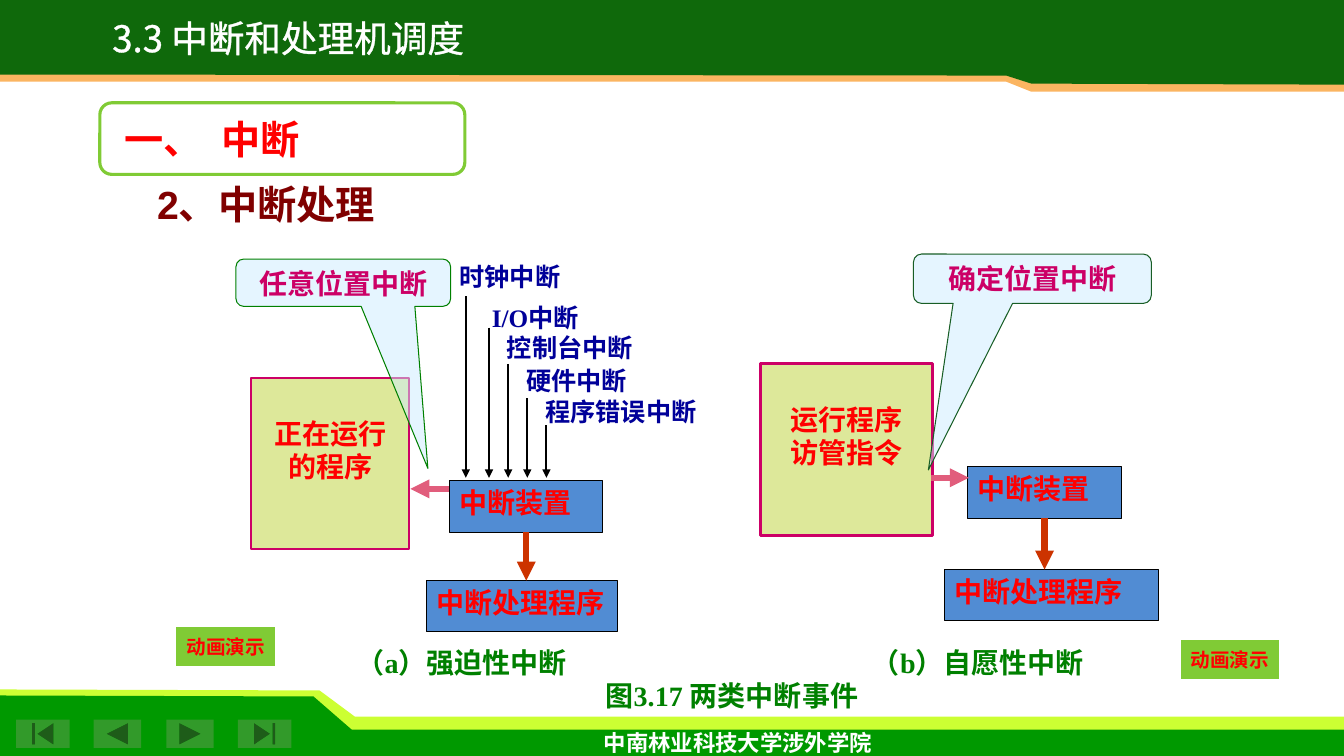
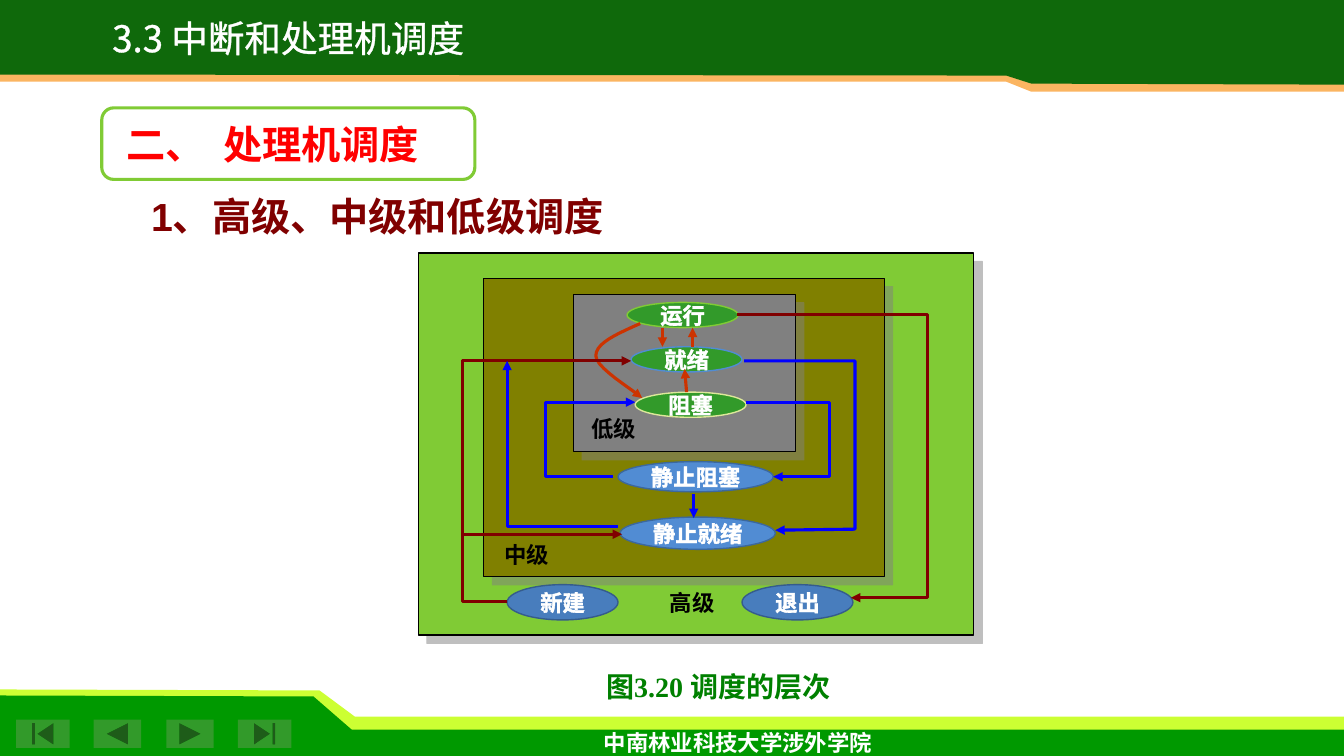
"""Build two lecture slides on interrupts and processor scheduling."""
import lxml.etree
import pptx
import pptx.dml.color
import pptx.enum.shapes
import pptx.enum.text
import pptx.oxml.ns
import pptx.util

Inches = pptx.util.Inches
Pt = pptx.util.Pt
qn = pptx.oxml.ns.qn
SHAPE = pptx.enum.shapes.MSO_SHAPE
ALIGN = pptx.enum.text.PP_ALIGN
ANCHOR = pptx.enum.text.MSO_ANCHOR

GREEN, RED, MAROON, WHITE, BLACK = "80CB35", "FF0000", "800000", "FFFFFF", "000000"
BLUE, BOX_BLUE, RUST, PINK, MAGENTA = "0000FF", "518CD3", "CC3300", "E15D7C", "CC0066"
SERIF = "Times New Roman"

TITLE = (26.1, "Noto Sans CJK SC", WHITE, False)
FOOTER = (16, "Karla", WHITE, True)
HEADING = (28, SERIF, RED, True)
SUBHEADING = (28, "Arial", MAROON, True)
CAPTION = (20, SERIF, "008000", True)
BLOCK = (20, SERIF, RED, True)
SOURCE = (18, SERIF, "000099", True)
CALLOUT = (20, "Karla", MAGENTA, True)
BUTTON = (14, "Karla", RED, True)
STATE = (16, SERIF, WHITE, True)
LEVEL = (16, SERIF, BLACK, True)

BANDS = [
    ("CCFF33", [(0, 7.4), (13.33, 7.4), (13.33, 7.11), (3.52, 7.11), (3.17, 6.85), (0, 6.84)]),
    ("009900", [(0, 7.5), (13.33, 7.5), (13.33, 7.24), (3.49, 7.24), (3.11, 6.91), (0, 6.9)]),
    ("FBB561", [(13.33, 0), (0, 0), (0, 0.81), (9.98, 0.81), (10.23, 0.91), (13.33, 0.91)]),
    ("0F690B", [(13.33, 0), (0, 0), (0, 0.74), (9.98, 0.75), (10.23, 0.83), (13.33, 0.84)]),
]
BUTTONS = [
    (SHAPE.ACTION_BUTTON_BEGINNING, 0.16, 0.53),
    (SHAPE.ACTION_BUTTON_BACK_OR_PREVIOUS, 0.93, 0.47),
    (SHAPE.ACTION_BUTTON_FORWARD_OR_NEXT, 1.65, 0.47),
    (SHAPE.ACTION_BUTTON_END, 2.36, 0.53),
]


def color(code):
    """Turn a hex string into a colour."""
    return pptx.dml.color.RGBColor.from_string(code)


def set_line(shape, code, width, arrow=False):
    """Give a shape its line, with an arrowhead at the end if asked."""
    shape.line.color.rgb = color(code)
    shape.line.width = Pt(width)
    if arrow:
        outline = shape.element.spPr.find(qn("a:ln"))
        lxml.etree.SubElement(outline, qn("a:tailEnd"), type="triangle")


def paint(shape, fill=None, line=None, width=0.75, alpha=100):
    """Set the fill and line of a shape and clear its shadow."""
    if fill:
        shape.fill.solid()
        shape.fill.fore_color.rgb = color(fill)
        if alpha < 100:
            tint = shape.element.spPr.find(qn("a:solidFill")).find(qn("a:srgbClr"))
            lxml.etree.SubElement(tint, qn("a:alpha"), val=str(alpha * 1000))
    else:
        shape.fill.background()
    if line:
        set_line(shape, line, width)
    else:
        shape.line.fill.background()
    shape.shadow.inherit = False


def write(shape, text, style, align=ALIGN.LEFT, anchor=ANCHOR.TOP, wrap=True,
          left=0.1, top=0.05, spacing=None, tab=None):
    """Write text into a shape, one paragraph a line."""
    size, face, code, bold = style
    frame = shape.text_frame
    frame.word_wrap = wrap
    frame.vertical_anchor = anchor
    frame.margin_left, frame.margin_top = Inches(left), Inches(top)
    for number, line in enumerate(text.split("\n")):
        para = frame.add_paragraph() if number else frame.paragraphs[0]
        para.alignment = align
        if spacing:
            para.line_spacing = spacing
        if tab:
            stops = lxml.etree.SubElement(para._p.get_or_add_pPr(), qn("a:tabLst"))
            lxml.etree.SubElement(stops, qn("a:tab"), pos=str(Inches(tab)), algn="l")
        span = para.add_run()
        span.text = line
        span.font.size = Pt(size)
        span.font.name = face
        span.font.bold = bold
        span.font.color.rgb = color(code)


def outline_text(shape, code, width):
    """Draw an outline around the letters of a shape."""
    for props in shape.element.iter(qn("a:rPr")):
        outline = lxml.etree.Element(qn("a:ln"), w=str(Pt(width)))
        fill = lxml.etree.SubElement(outline, qn("a:solidFill"))
        lxml.etree.SubElement(fill, qn("a:srgbClr"), val=code)
        props.insert(0, outline)


def add_text(page, place, text, style, **options):
    """Add a text box."""
    box = page.shapes.add_textbox(*map(Inches, place))
    write(box, text, style, **options)
    return box


def add_shape(page, kind, place, fill, line=None, width=0.75, alpha=100):
    """Add a preset shape."""
    shape = page.shapes.add_shape(kind, *map(Inches, place))
    paint(shape, fill, line, width, alpha)
    return shape


def add_block(page, place, text, fill=BOX_BLUE, line=BLACK, width=0.75, **options):
    """Add a rectangle with red text."""
    block = add_shape(page, SHAPE.RECTANGLE, place, fill, line, width)
    write(block, text, BLOCK, **options)
    return block


def add_arrow(page, start, end, code, width, source=None):
    """Add a straight arrow, joined to the bottom of a source block if given."""
    arrow = page.shapes.add_connector(
        pptx.enum.shapes.MSO_CONNECTOR.STRAIGHT, *map(Inches, start + end))
    set_line(arrow, code, width, arrow=True)
    lxml.etree.SubElement(arrow.element.spPr, qn("a:effectLst"))
    if source is not None:
        arrow.begin_connect(source, 2)


def add_outline(page, points, close):
    """Add a freeform through points in inches."""
    corners = [(Inches(x), Inches(y)) for x, y in points]
    builder = page.shapes.build_freeform(*corners[0])
    builder.add_line_segments(corners[1:], close=close)
    return builder.convert_to_shape()


def add_route(page, points, code):
    """Add a bent arrow through points."""
    route = add_outline(page, points, close=False)
    paint(route)
    set_line(route, code, 2.25, arrow=True)


def curve(start, first, second, end, steps=10):
    """Return points along a cubic curve."""
    points = []
    for step in range(steps + 1):
        t = step / steps
        weights = ((1 - t) ** 3, 3 * t * (1 - t) ** 2, 3 * t * t * (1 - t), t ** 3)
        points.append(tuple(
            sum(weight * value for weight, value in zip(weights, axis))
            for axis in zip(start, first, second, end)))
    return points


def add_callout(page, place, text, tip, line):
    """Add a see-through callout pointing at its tip."""
    callout = add_shape(page, SHAPE.ROUNDED_RECTANGULAR_CALLOUT, place, "CCECFF", line, alpha=50)
    for index, value in enumerate(tip + (0.167,)):
        callout.adjustments[index] = value
    write(callout, text, CALLOUT, align=ALIGN.CENTER)


def add_level(page, place, fill):
    """Add a scheduling level with a hard shadow."""
    level = add_shape(page, SHAPE.RECTANGLE, place, fill, BLACK)
    effects = level.element.spPr.find(qn("a:effectLst"))
    shadow = lxml.etree.SubElement(
        effects, qn("a:outerShdw"), dist=str(Pt(8.5)), dir=str(45 * 60000), algn="ctr")
    tint = lxml.etree.SubElement(shadow, qn("a:srgbClr"), val="808080")
    lxml.etree.SubElement(tint, qn("a:alpha"), val="50000")


def add_state(page, place, text, fill, line):
    """Add an oval process state."""
    state = add_shape(page, SHAPE.OVAL, place, fill, line, 1)
    write(state, text, STATE, align=ALIGN.CENTER, anchor=ANCHOR.MIDDLE, wrap=False)
    outline_text(state, WHITE, 0.75)


def add_page(deck):
    """Add a page with the shared bands, buttons, title and footer."""
    page = deck.slides.add_slide(deck.slide_layouts[6])
    for fill, points in BANDS:
        paint(add_outline(page, points, close=True), fill)
    for kind, left, width in BUTTONS:
        add_shape(page, kind, (left, 7.14, width, 0.28), "329A2A")
    add_text(page, (5.89, 7.18, 2.89, 0.32), "中南林业科技大学涉外学院", FOOTER, wrap=False)
    title = add_text(page, (0.38, 0.19, 4.96, 0.46), "3.3 中断和处理机调度", TITLE,
                     align=ALIGN.CENTER, wrap=False, spacing=0.8)
    outline_text(title, WHITE, 1.5)
    return page


def add_heading(page, place, text):
    """Add the framed section heading."""
    frame = add_shape(page, SHAPE.ROUNDED_RECTANGLE, place, WHITE, GREEN, 2.25, 90)
    write(frame, text, HEADING, anchor=ANCHOR.MIDDLE, left=0.21, tab=0.96)


def build_interrupts(deck):
    """Build the page on the two classes of interrupts."""
    page = add_page(deck)
    add_heading(page, (0.99, 1.02, 3.62, 0.71), "一、\t中断")
    add_text(page, (1.46, 1.74, 4.49, 0.57), "2、中断处理", SUBHEADING)

    program = {"fill": "DDE89A", "line": MAGENTA, "align": ALIGN.CENTER, "top": 0.38}
    add_block(page, (2.49, 3.75, 1.57, 1.7), "正在运行的程序", width=1.5, **program)
    add_block(page, (7.54, 3.61, 1.71, 1.7), "运行程序\n访管指令", width=2.25, **program)
    for device_place, handler_place in [
        ((4.46, 4.77, 1.52, 0.51), (4.23, 5.76, 1.89, 0.51)),
        ((9.6, 4.63, 1.52, 0.51), (9.37, 5.65, 2.12, 0.51)),
    ]:
        device = add_block(page, device_place, "中断装置")
        add_block(page, handler_place, "中断处理程序")
        left, top, width, height = device_place
        middle = left + width / 2
        add_arrow(page, (middle, top + height), (middle, handler_place[1]), RUST, 4.5, device)
    add_arrow(page, (4.45, 4.85), (4.07, 4.85), PINK, 4.5)
    add_arrow(page, (9.23, 4.74), (9.61, 4.74), PINK, 4.5)

    for text, left, top, width, arrow_left, arrow_top in [
        ("时钟中断", 4.46, 2.54, 1.56, 4.62, 2.94),
        ("I/O中断", 4.78, 2.95, 1.17, 4.85, 3.25),
        ("控制台中断", 4.93, 3.25, 1.65, 5.04, 3.61),
        ("硬件中断", 5.12, 3.57, 1.47, 5.23, 3.95),
        ("程序错误中断", 5.31, 3.88, 1.91, 5.42, 4.22),
    ]:
        add_text(page, (left, top, width, 0.42), text, SOURCE)
        add_arrow(page, (arrow_left, arrow_top), (arrow_left, 4.74), BLACK, 1.5)

    add_callout(page, (9.06, 2.52, 2.36, 0.49), "确定位置中断", (-0.437, 3.869), "185E25")
    add_callout(page, (2.34, 2.57, 2.13, 0.47), "任意位置中断", (0.394, 3.919), "008000")
    for text, left, top, width in [
        ("（a）强迫性中断", 3.08, 6.35, 3),
        ("（b）自愿性中断", 8.2, 6.35, 3),
        ("图3.17 两类中断事件", 5.26, 6.68, 4),
    ]:
        add_text(page, (left, top, width, 0.42), text, CAPTION, align=ALIGN.CENTER)
    for left, top in [(1.75, 6.22), (11.71, 6.35)]:
        button = add_shape(page, SHAPE.ACTION_BUTTON_CUSTOM, (left, top, 0.98, 0.39), GREEN)
        write(button, "动画演示", BUTTON, align=ALIGN.CENTER, anchor=ANCHOR.MIDDLE, wrap=False)


def build_scheduling(deck):
    """Build the page on the levels of scheduling."""
    page = add_page(deck)
    add_heading(page, (1.01, 1.07, 3.7, 0.71), "二、\t处理机调度")
    add_text(page, (1.4, 1.86, 7.48, 0.57), "1、高级、中级和低级调度", SUBHEADING)
    add_text(page, (5.33, 6.59, 3.59, 0.52), "图3.20 调度的层次", CAPTION, align=ALIGN.CENTER)

    add_level(page, (4.15, 2.51, 5.51, 3.79), GREEN)
    add_level(page, (4.8, 2.76, 3.97, 2.96), "808000")
    add_level(page, (5.69, 2.92, 2.2, 1.56), "808080")
    for text, left, top in [("低级", 5.65, 4.07), ("中级", 4.79, 5.32), ("高级", 6.43, 5.8)]:
        add_text(page, (left, top, 0.87, 0.42), text, LEVEL, align=ALIGN.CENTER)

    for text, place, fill, line in [
        ("运行", (6.22, 3, 1.1, 0.25), "329A2A", GREEN),
        ("就绪", (6.26, 3.44, 1.1, 0.25), "329A2A", BOX_BLUE),
        ("阻塞", (6.3, 3.89, 1.1, 0.25), "329A2A", "DDE89A"),
        ("静止阻塞", (6.13, 4.58, 1.54, 0.3), BOX_BLUE, "3C689C"),
        ("静止就绪", (6.15, 5.13, 1.54, 0.32), BOX_BLUE, "3C689C"),
        ("新建", (5.03, 5.8, 1.1, 0.35), "487DBD", "355C8C"),
        ("退出", (7.36, 5.8, 1.1, 0.35), "487DBD", "355C8C"),
    ]:
        add_state(page, place, text, fill, line)

    for start, end, code in [
        ((6.57, 3.25), (6.57, 3.44), RUST),
        ((6.87, 3.44), (6.87, 3.25), RUST),
        ((6.81, 3.89), (6.79, 3.66), RUST),
        ((6.88, 4.9), (6.88, 5.14), BLUE),
        ((4.59, 5.3), (6.17, 5.3), MAROON),
    ]:
        add_arrow(page, start, end, code, 2.25)
    bend = (5.91, 3.53)
    add_route(page, curve((6.35, 3.21), (6.13, 3.31), (5.91, 3.4), bend)
              + curve(bend, (5.91, 3.65), (6.27, 3.86), (6.37, 3.95))[1:], RUST)
    for points, code in [
        ([(6.08, 4.73), (5.41, 4.73), (5.41, 3.99), (6.3, 3.99)], BLUE),
        ([(7.4, 3.99), (8.23, 3.99), (8.23, 4.73), (7.67, 4.73)], BLUE),
        ([(5.03, 5.97), (4.59, 5.97), (4.59, 3.58), (6.26, 3.58)], MAROON),
        ([(7.31, 3.12), (9.2, 3.12), (9.2, 5.93), (8.44, 5.93)], MAROON),
        ([(7.38, 3.58), (8.48, 3.58), (8.48, 5.25), (7.69, 5.26)], BLUE),
        ([(6.13, 5.22), (5.03, 5.22), (5.03, 3.58)], BLUE),
    ]:
        add_route(page, points, code)


def main():
    """Build and save the deck."""
    deck = pptx.Presentation()
    deck.slide_width, deck.slide_height = Inches(13.33), Inches(7.5)
    build_interrupts(deck)
    build_scheduling(deck)
    deck.save("out.pptx")


if __name__ == "__main__":
    main()
